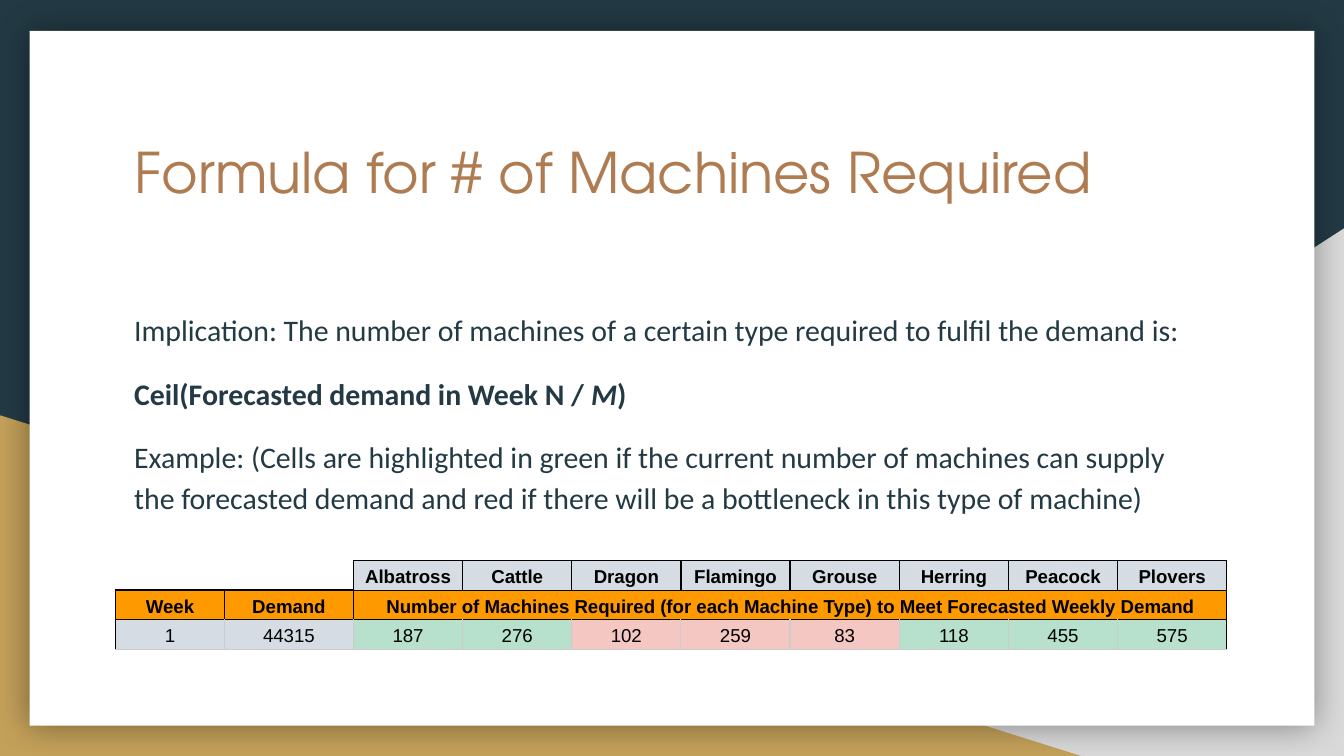
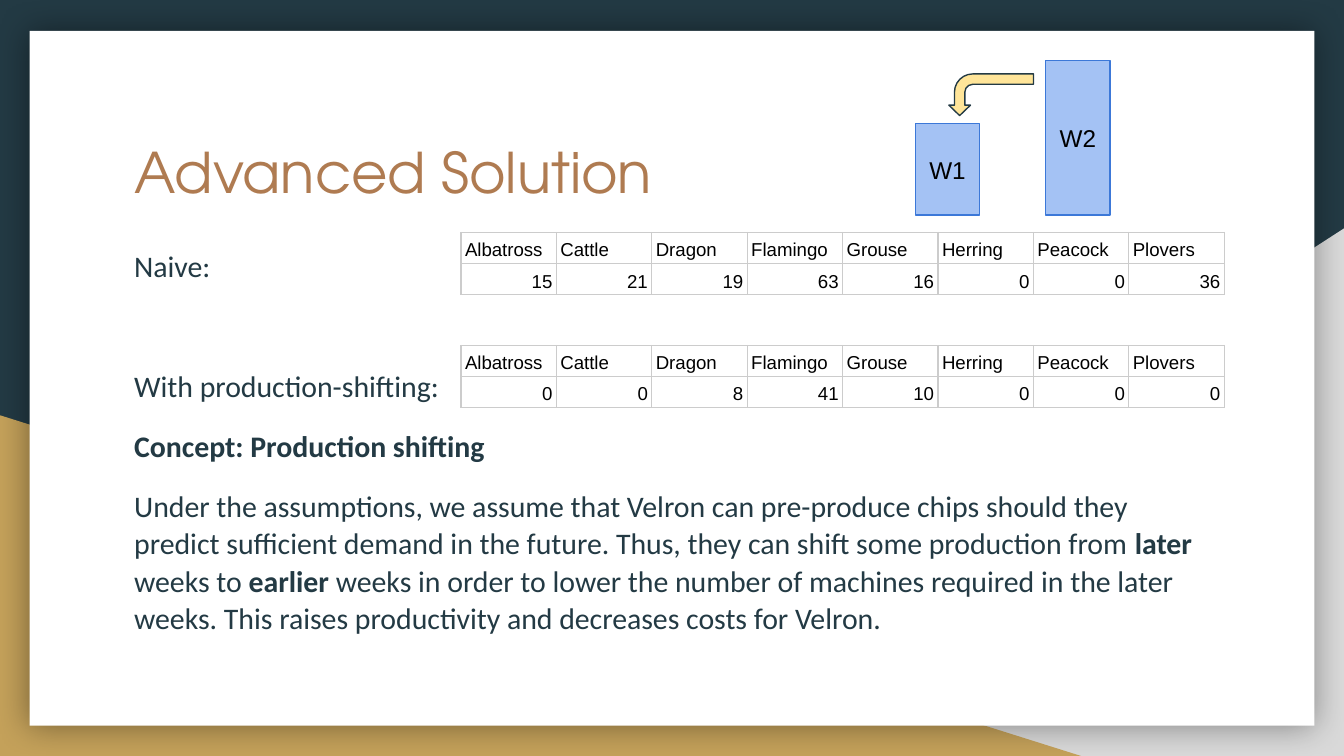
from lxml.etree import SubElement
from pptx import Presentation
from pptx.dml.color import RGBColor
from pptx.enum.shapes import MSO_SHAPE as SHAPE
from pptx.enum.text import MSO_ANCHOR as ANCHOR, MSO_AUTO_SIZE as AUTO, PP_ALIGN as ALIGN
from pptx.oxml.ns import qn
from pptx.util import Inches, Pt

NAVY, GOLD, SILVER, WHITE, COPPER = "233A44", "C4A15A", "D9D9D9", "FFFFFF", "AF7B51"
BLACK, GRID, ORANGE, PALE = "000000", "CCCCCC", "FF9900", "D6DCE4"
GREEN, RED = "B7E1CD", "F4C7C3"
BLUE, BLUE_EDGE, YELLOW = "A4C2F4", "3C78D8", "FFE599"
BODY = dict(font="Calibri", size=16, color=NAVY)
CELL = dict(font="Arial", size=10, color=BLACK, spacing=1.15)

MACHINES = ["Albatross", "Cattle", "Dragon", "Flamingo", "Grouse", "Herring", "Peacock", "Plovers"]

FORMULA_TITLE = "Formula for # of Machines Required"
FORMULA_BODY = [
    dict(runs=[("Implication: The number of machines of a certain type required to fulfil the demand is:", "")]),
    dict(runs=[("Ceil(Forecasted demand in Week N / ", "b"), ("M", "bi"), (")", "b")], before=12),
    dict(runs=[("Example: (Cells are highlighted in green if the current number of machines can supply "
                "the forecasted demand and red if there will be a bottleneck in this type of machine)", "")],
         before=12, after=12),
]
DEMAND_HEAD = ["Week", "Demand", "Number of Machines Required (for each Machine Type) to Meet Forecasted Weekly Demand"]
WEEK_DEMAND = [1, 44315]
REQUIRED = [187, 276, 102, 259, 83, 118, 455, 575]
BOTTLENECKS = {"Dragon", "Flamingo", "Grouse"}

SOLUTION_TITLE = "Advanced Solution"
SOLUTION_BODY = [
    dict(runs=[("Naive:", "")]),
    dict(runs=[("With production-shifting:", "")], before=44),
    dict(runs=[("Concept: Production shifting", "b")], before=12),
    dict(runs=[("Under the assumptions, we assume that Velron can pre-produce chips should they predict "
                "sufficient demand in the future. Thus, they can shift some production from ", ""),
               ("later", "b"), (" weeks to ", ""), ("earlier ", "b"),
               ("weeks in order to lower the number of machines required in the later weeks. "
                "This raises productivity and decreases costs for Velron.", "")],
         before=12, after=12),
]
SHORTFALLS = [(1.73, [15, 21, 19, 63, 16, 0, 0, 36]), (2.57, [0, 0, 8, 41, 10, 0, 0, 0])]
WEEK_BARS = [("W1", 6.81, 0.68), ("W2", 7.78, 1.15)]
BAR_BASE = 1.6


def rgb(value):
    """Turn a hex string into a colour."""
    return RGBColor.from_string(value)


def write(tf, paragraphs, font, size, color, align=ALIGN.LEFT, spacing=None, anchor=ANCHOR.TOP):
    """Fill a text frame with paragraphs, given as plain text or as styled runs."""
    tf.word_wrap = True
    tf.vertical_anchor = anchor
    tf.margin_left = tf.margin_right = tf.margin_top = tf.margin_bottom = Inches(0.1)
    if isinstance(paragraphs, str):
        paragraphs = [dict(runs=[(paragraphs, "")])]
    for i, item in enumerate(paragraphs):
        p = tf.add_paragraph() if i else tf.paragraphs[0]
        p.alignment, p.line_spacing = align, spacing
        p.space_before, p.space_after = Pt(item.get("before", 0)), Pt(item.get("after", 0))
        for text, style in item["runs"]:
            r = p.add_run()
            r.text = text
            r.font.name, r.font.size, r.font.color.rgb = font, Pt(size), rgb(color)
            r.font.bold, r.font.italic = "b" in style, "i" in style


def add_shape(s, kind, box, fill, line=None, flip=False):
    """Add a filled preset shape."""
    sp = s.shapes.add_shape(kind, *map(Inches, box))
    sp.shadow.inherit = False
    sp.fill.solid()
    sp.fill.fore_color.rgb = rgb(fill)
    if line:
        sp.line.color.rgb = rgb(line)
        sp.line.width = Pt(0.75)
    else:
        sp.line.fill.background()
    if flip:
        sp._element.spPr.get_or_add_xfrm().set("flipH", "1")
    return sp


def decorate(layout, s):
    """Put the backdrop and the shadowed white card on the layout."""
    layout.background.fill.solid()
    layout.background.fill.fore_color.rgb = rgb(NAVY)
    right = add_shape(s, SHAPE.RIGHT_TRIANGLE, (3.92, 1.7, 6.08, 3.93), SILVER, flip=True)
    left = add_shape(s, SHAPE.RIGHT_TRIANGLE, (0, 3.09, 8.06, 2.54), GOLD)
    card = add_shape(s, SHAPE.RECTANGLE, (0.22, 0.23, 9.56, 5.17), WHITE)
    effects = card._element.spPr.find(qn("a:effectLst"))
    shadow = SubElement(effects, qn("a:outerShdw"), blurRad=str(Pt(18)), dist="0", dir="0", rotWithShape="0")
    tint = SubElement(shadow, qn("a:srgbClr"), val=BLACK)
    SubElement(tint, qn("a:alpha"), val="40000")
    for i, sp in enumerate((right, left, card)):
        layout.shapes._spTree.insert(2 + i, sp._element)


def add_body(s, top, height, paragraphs, spacing):
    """Add the main text below the title."""
    sp = s.shapes.add_textbox(*map(Inches, (0.9, top, 8.21, height)))
    write(sp.text_frame, paragraphs, spacing=spacing, **BODY)


def set_title(s, text):
    """Place and format the title."""
    sp = s.shapes.title
    sp.left, sp.top, sp.width, sp.height = map(Inches, (0.9, 0.92, 8.21, 1.04))
    sp.text_frame.auto_size = AUTO.NONE
    write(sp.text_frame, text, font="TeX Gyre Adventor", size=30, color=COPPER)


def add_grid(s, left, top, widths, rows, height):
    """Add a plain table whose columns and rows have the given sizes."""
    frame = s.shapes.add_table(rows, len(widths), *map(Inches, (left, top, sum(widths), rows * height)))
    table = frame.table
    table.first_row = table.horz_banding = False
    for column, width in zip(table.columns, widths):
        column.width = Inches(width)
    for row in table.rows:
        row.height = Inches(height)
    return table


def fill_cell(cell, text, edges, fill=None, bold=False, align=ALIGN.CENTER, top=0.01):
    """Write a cell and colour its left, right, top and bottom edges and its fill."""
    if not cell.is_spanned:
        write(cell.text_frame, [dict(runs=[(str(text), "b" if bold else "")])], align=align, **CELL)
    cell.vertical_anchor = ANCHOR.BOTTOM
    cell.margin_left = cell.margin_right = Inches(0.03)
    cell.margin_top, cell.margin_bottom = Inches(top), Inches(0.02)
    for side, color in zip("LRTB", edges):
        ln = SubElement(cell._tc.get_or_add_tcPr(), qn(f"a:ln{side}"), w=str(Pt(0.75)))
        SubElement(SubElement(ln, qn("a:solidFill")), qn("a:srgbClr"), val=color)
    if fill:
        cell.fill.solid()
        cell.fill.fore_color.rgb = rgb(fill)
    else:
        cell.fill.background()


def add_demand_tables(s):
    """Add the weekly demand table with the machine names above it."""
    count = len(MACHINES)
    widths = [0.81, 0.96] + [6.5 / count] * count
    table = add_grid(s, 0.86, 4.39, widths, 2, 0.22)
    table.cell(0, 2).merge(table.cell(0, count + 1))
    for c, text in enumerate(DEMAND_HEAD + [""] * (count - 1)):
        fill_cell(table.cell(0, c), text, [BLACK] * 4, ORANGE, bold=True)
    fills = [PALE, PALE] + [RED if name in BOTTLENECKS else GREEN for name in MACHINES]
    for c, (value, fill) in enumerate(zip(WEEK_DEMAND + REQUIRED, fills)):
        edges = [GRID if c else BLACK, GRID if c <= count else BLACK, BLACK, GRID]
        fill_cell(table.cell(1, c), value, edges, fill)
    names = add_grid(s, 2.63, 4.17, widths[2:], 1, 0.22)
    for c, name in enumerate(MACHINES):
        fill_cell(names.cell(0, c), name, [BLACK] * 4, PALE, bold=True)


def add_shortfall_table(s, top, values):
    """Add a two-row table of machine names and counts."""
    table = add_grid(s, 3.43, top, [0.71] * len(MACHINES), 2, 0.23)
    for r, (row, align) in enumerate([(MACHINES, ALIGN.LEFT), (values, ALIGN.RIGHT)]):
        for c, text in enumerate(row):
            fill_cell(table.cell(r, c), text, [GRID] * 4, align=align, top=0.02)


def add_shift_diagram(s):
    """Draw the two week bars and the arrow from the later to the earlier one."""
    for label, left, height in WEEK_BARS:
        bar = add_shape(s, SHAPE.RECTANGLE, (left, BAR_BASE - height, 0.48, height), BLUE, BLUE_EDGE)
        write(bar.text_frame, label, font="Arial", size=13, color=BLACK, align=ALIGN.CENTER, anchor=ANCHOR.MIDDLE)
    arrow = add_shape(s, SHAPE.BENT_ARROW, (7.22, 0.39, 0.31, 0.63), YELLOW, NAVY, flip=True)
    arrow.rotation = 270
    for i, value in enumerate((0.25, 0.26, 0.25, 0.44)):
        arrow.adjustments[i] = value


def main():
    """Build and save both slides."""
    prs = Presentation()
    prs.slide_width = Inches(10)
    prs.slide_height = prs.slide_width * 9 // 16
    layout = prs.slide_layouts[5]

    s = prs.slides.add_slide(layout)
    decorate(layout, s)
    set_title(s, FORMULA_TITLE)
    add_body(s, 2.18, 2.68, FORMULA_BODY, 1.15)
    add_demand_tables(s)

    s = prs.slides.add_slide(layout)
    set_title(s, SOLUTION_TITLE)
    add_body(s, 1.73, 3.12, SOLUTION_BODY, 1.05)
    for top, values in SHORTFALLS:
        add_shortfall_table(s, top, values)
    add_shift_diagram(s)

    prs.save("out.pptx")


if __name__ == "__main__":
    main()
